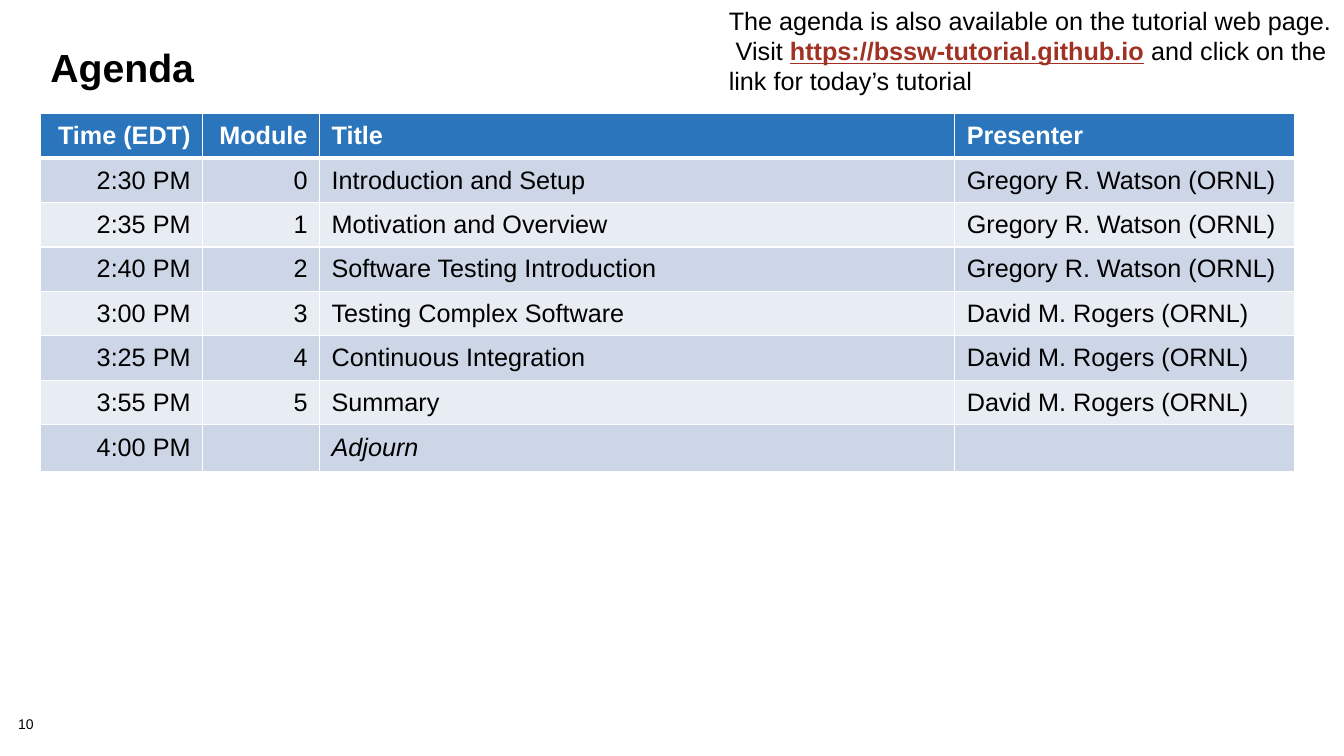
from lxml import etree
from pptx import Presentation
from pptx.dml.color import RGBColor
from pptx.enum.text import MSO_ANCHOR, PP_ALIGN
from pptx.oxml.ns import qn
from pptx.util import Inches, Pt

TOP, MIDDLE = MSO_ANCHOR.TOP, MSO_ANCHOR.MIDDLE
LEFT, RIGHT = PP_ALIGN.LEFT, PP_ALIGN.RIGHT
BLACK, WHITE, LINK_RED = "000000", "FFFFFF", "A03123"
HEADER_BLUE, BAND_DARK, BAND_LIGHT = "2A75BB", "CDD6E7", "E8ECF3"


def style(font, size, color=BLACK, bold=False):
    font.name, font.size, font.bold = "Arial", Pt(size), bold
    font.color.rgb = RGBColor.from_string(color)


def add_border(cell, side, points):
    """Draw a white line on one side (L, R, T or B); call before filling the cell."""
    line = etree.SubElement(cell._tc.get_or_add_tcPr(), qn(f"a:ln{side}"), w=str(Pt(points)))
    fill = etree.SubElement(line, qn("a:solidFill"))
    etree.SubElement(fill, qn("a:srgbClr"), val=WHITE)


prs = Presentation()
prs.slide_width, prs.slide_height = Inches(13.33), Inches(7.5)
slide = prs.slides.add_slide(prs.slide_layouts[5])

# Title
title = slide.shapes.title
title.left, title.top = Inches(0.4), Inches(0.45)
title.width, title.height = Inches(12.44), Inches(1)
title.text_frame.text = "Agenda"
title.text_frame.vertical_anchor = TOP
heading = title.text_frame.paragraphs[0]
heading.alignment = LEFT
heading.line_spacing = 0.85
style(heading.runs[0].font, 28, bold=True)

# Agenda table
agenda = [
    ("Time (EDT)", "Module", "Title", "Presenter"),
    ("2:30 PM", "0", "Introduction and Setup", "Gregory R. Watson (ORNL)"),
    ("2:35 PM", "1", "Motivation and Overview", "Gregory R. Watson (ORNL)"),
    ("2:40 PM", "2", "Software Testing Introduction", "Gregory R. Watson (ORNL)"),
    ("3:00 PM", "3", "Testing Complex Software", "David M. Rogers (ORNL)"),
    ("3:25 PM", "4", "Continuous Integration", "David M. Rogers (ORNL)"),
    ("3:55 PM", "5", "Summary", "David M. Rogers (ORNL)"),
    ("4:00 PM", "", "Adjourn", ""),
]
row_height = Inches(0.41)
table = slide.shapes.add_table(
    len(agenda), len(agenda[0]), Inches(0.4), Inches(1.13), Inches(12.44), row_height * len(agenda)
).table
for column, width in zip(table.columns, (1.61, 1.16, 6.3, 3.37)):
    column.width = Inches(width)

for r, entry in enumerate(agenda):
    table.rows[r].height = row_height
    is_header = r == 0
    band = HEADER_BLUE if is_header else (BAND_LIGHT, BAND_DARK)[r % 2]
    for c, text in enumerate(entry):
        cell = table.cell(r, c)
        cell.margin_left = cell.margin_right = Inches(0.12)
        cell.margin_top = cell.margin_bottom = Inches(0.08)
        cell.vertical_anchor = MIDDLE
        add_border(cell, "L", 1)
        add_border(cell, "R", 1)
        add_border(cell, "T", 3 if r == 1 else 1)
        add_border(cell, "B", 3 if is_header else 1)
        cell.fill.solid()
        cell.fill.fore_color.rgb = RGBColor.from_string(band)
        cell.text_frame.text = text
        paragraph = cell.text_frame.paragraphs[0]
        paragraph.alignment = RIGHT if c < 2 else LEFT
        for run in paragraph.runs:
            style(run.font, 18, WHITE if is_header else BLACK, is_header)
            run.font.italic = text == "Adjourn"

# Note on where to find the agenda
note = slide.shapes.add_textbox(Inches(7.13), 0, Inches(6.2), Inches(1.01)).text_frame
note.word_wrap = True
for text, color, is_link in (
    ("The agenda is also available on the tutorial web page.  Visit ", BLACK, False),
    ("https://bssw-tutorial.github.io", LINK_RED, True),
    (" and click on the link for today’s tutorial", BLACK, False),
):
    run = note.paragraphs[0].add_run()
    run.text = text
    style(run.font, 18, color, is_link)
    run.font.underline = is_link

# Slide number
page_number = slide.shapes.add_textbox(Inches(0.18), Inches(7.12), Inches(0.56), Inches(0.16)).text_frame
page_number.margin_left = page_number.margin_right = 0
page_number.margin_top = page_number.margin_bottom = 0
page_number.text = "10"
page_number.paragraphs[0].line_spacing = 0.9
style(page_number.paragraphs[0].runs[0].font, 10)

prs.save("out.pptx")
